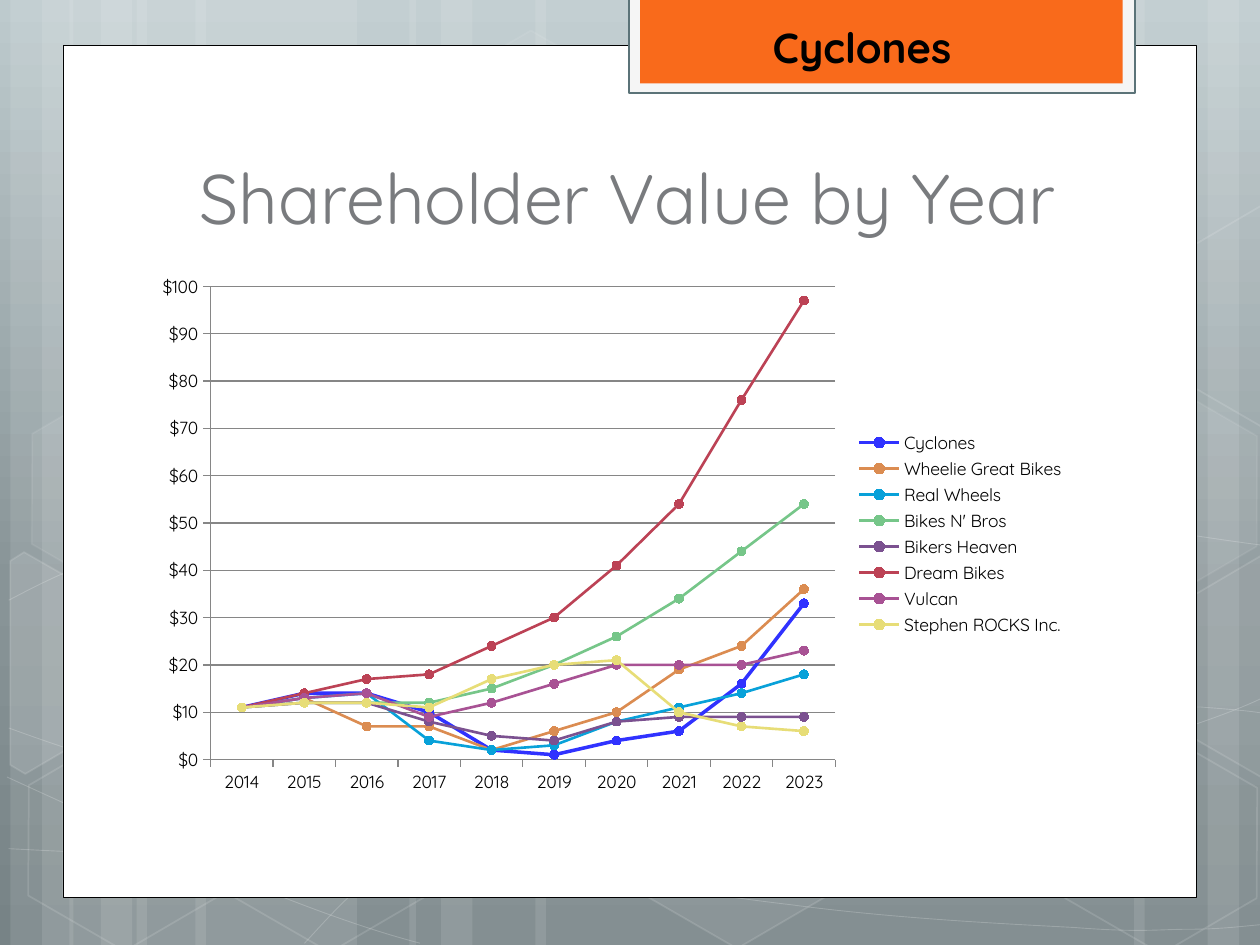
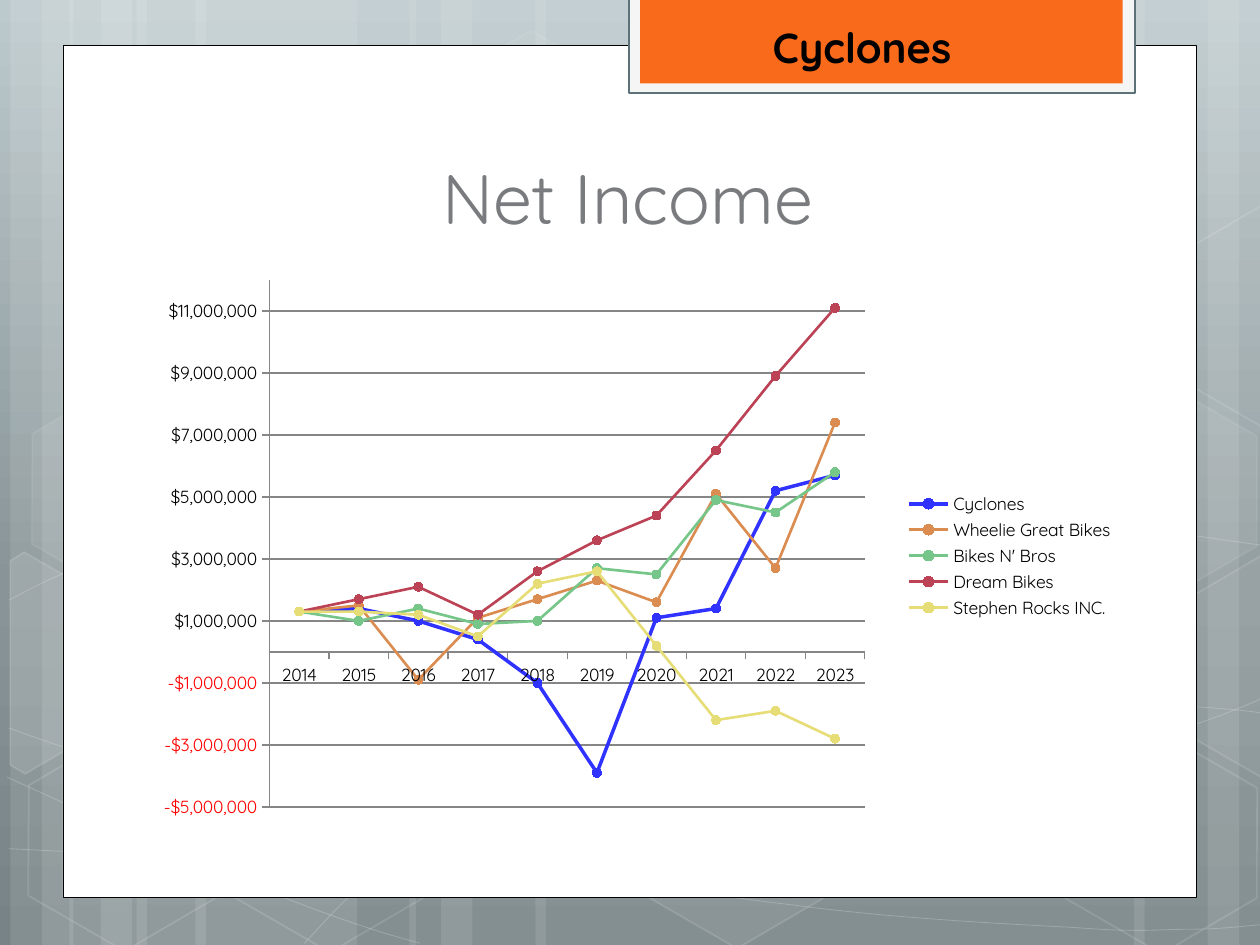
import copy
import dataclasses
import math
import typing

import lxml.etree
import pptx
import pptx.chart.chart
import pptx.chart.data
import pptx.dml.color
import pptx.enum.chart
import pptx.enum.shapes
import pptx.enum.text
import pptx.oxml.ns
import pptx.shapes.autoshape
import pptx.slide
import pptx.util

Pt = pptx.util.Pt
RGB = pptx.dml.color.RGBColor
qn = pptx.oxml.ns.qn
MSO = pptx.enum.shapes.MSO_SHAPE
XL = pptx.enum.chart

FONT = "Quicksand"
BLACK = RGB(0x00, 0x00, 0x00)
WHITE = RGB(0xFF, 0xFF, 0xFF)
FRAME = RGB(0xF5, 0xF5, 0xF5)
SLATE = RGB(0x5B, 0x73, 0x78)
ORANGE = RGB(0xF9, 0x6A, 0x1B)
TITLE_GRAY = RGB(0x79, 0x7B, 0x7E)
GRID_GRAY = RGB(0x86, 0x86, 0x86)
BLUE = RGB(0x30, 0x32, 0xFF)
COPPER = RGB(0xDB, 0x8C, 0x51)
CYAN = RGB(0x08, 0xA1, 0xD9)
GREEN = RGB(0x76, 0xC6, 0x89)
PURPLE = RGB(0x7B, 0x51, 0x90)
RED = RGB(0xBC, 0x42, 0x55)
MAGENTA = RGB(0xA8, 0x52, 0x94)
YELLOW = RGB(0xE7, 0xDD, 0x77)
BACKDROP = [(0, RGB(0xBD, 0xCA, 0xCD)), (0.62, RGB(0x88, 0x94, 0x97)), (1, RGB(0x77, 0x83, 0x86))]

SLIDE_W, SLIDE_H = 720, 540
TILT = 30
YEARS = [str(year) for year in range(2014, 2024)]
MONEY = '"$"#,##0;[Red]\\-"$"#,##0'
Point = tuple[float, float]
Rect = tuple[float, float, float, float]


@dataclasses.dataclass
class Paint:
    fill: typing.Optional[RGB] = None
    fill_alpha: int = 100
    line: typing.Optional[RGB] = None
    width: float = 1
    line_alpha: int = 100


@dataclasses.dataclass
class Box:
    x: float
    y: float
    w: float
    h: float
    paint: Paint
    kind: MSO = MSO.RECTANGLE
    rotation: float = 0


@dataclasses.dataclass
class CutHexagon:
    center: Point
    points: list[Point]
    paint: Paint


class Series(typing.NamedTuple):
    name: str
    color: RGB
    values: list[int]
    width: float = 1.5


@dataclasses.dataclass
class ChartSlide:
    title: str
    frame: Rect
    plot: Rect
    axis: dict[str, float]
    series: list[Series]
    unit: int = 1


def glass(fill_alpha: int, line_alpha: int) -> Paint:
    return Paint(WHITE if fill_alpha else None, fill_alpha, WHITE, 1, line_alpha)


def hexagon(x: float, y: float, fill_alpha: int, line_alpha: int) -> Box:
    return Box(x, y, 126, 109.5, glass(fill_alpha, line_alpha), MSO.HEXAGON, TILT)


BAND = Paint(WHITE, 10)
BANDS = [Box(x, 0, w, SLIDE_H, BAND, rotation=rotation) for x, w, rotation in [
    (78, 126, 0), (6, 36, 0), (24, 60, 0), (111.6, 126, 0), (39.6, 36, 0), (57.6, 60, 0),
    (528, 126, 180), (690, 36, 180), (648, 60, 180), (306, 222, 0), (234, 36, 0), (252, 60, 0)]]

CURVE_PAINT = Paint(line=WHITE, width=0.5, line_alpha=20)
CURVES: list[list[Point]] = [
    [(5, 485), (44, 487), (83, 489), (137, 488), (191, 487), (258, 486), (330, 479),
     (402, 472), (504, 458), (570, 444), (636, 431), (703, 409), (725, 397)],
    [(5, 343), (26, 332), (47, 321), (87, 310), (130, 300), (186, 284), (250, 279),
     (314, 274), (392, 273), (471, 279), (550, 284), (682, 307), (725, 312)],
    [(4, 444), (91, 484), (178, 523), (240, 539)],
    [(5, 416), (27, 424), (50, 432), (92, 444), (134, 454), (197, 472), (257, 485),
     (317, 497), (392, 510), (452, 517), (512, 525), (576, 528), (614, 530),
     (652, 533), (662, 531), (680, 531), (699, 531), (712, 529), (725, 528)],
    [(174, 539), (187, 525), (200, 510), (217, 498), (235, 485), (259, 470), (279, 460),
     (300, 450), (312, 446), (338, 438), (364, 431), (413, 421), (438, 416),
     (464, 411), (467, 411), (490, 410), (512, 408), (547, 405), (572, 405),
     (597, 404), (638, 404), (638, 404), (638, 404), (686, 404), (686, 404),
     (699, 405), (711, 406), (718, 407), (724, 408), (722, 407), (724, 408)],
]

HEXAGONS = [
    hexagon(240.5, 26, 4, 8), hexagon(358, 424, 6, 12), hexagon(8, 425.5, 0, 12),
    hexagon(10, 224.6, 7, 8), hexagon(125.3, 426.2, 0, 12), hexagon(542.2, 326.2, 10, 12),
    hexagon(600.5, 427, 0, 12), hexagon(600.5, 226, 7, 8),
]

CUT_HEXAGONS = [
    CutHexagon((26, 385.2), [(5.8, 320.4), (13.7, 315.4), (69.1, 347), (68.4, 410.4),
                             (14.4, 442.1), (5.8, 437)], glass(10, 12)),
    CutHexagon((709.2, 374.4), [(666.7, 349.2), (720.7, 317.5), (726.5, 321.1), (726.5, 441.4),
                                (721.4, 444.2), (666.7, 412.6)], glass(4, 12)),
    CutHexagon((709.2, 173.5), [(666.7, 149), (720.7, 117.4), (727.2, 121), (726.5, 241.2),
                                (721.4, 244.1), (666.7, 212.4)], glass(0, 12)),
]

PANELS = [
    Box(36, 25.9, 648, 487, Paint(WHITE, line=BLACK, width=0.5)),
    Box(359.3, -1.4, 289.4, 54.7, Paint(FRAME, line=SLATE, width=1.25)),
    Box(365.8, -1.4, 275.8, 49, Paint(ORANGE)),
]

CHART_SLIDES = [
    ChartSlide(
        "Shareholder Value by Year", (82.1, 151.2, 533.5, 307.5), (38.2, 12.5, 357, 270.4),
        {"minimum_scale": 0, "maximum_scale": 100, "major_unit": 10},
        [
            Series("Cyclones", BLUE, [11, 14, 14, 10, 2, 1, 4, 6, 16, 33], 2),
            Series("Wheelie Great Bikes", COPPER, [11, 13, 7, 7, 2, 6, 10, 19, 24, 36]),
            Series("Real Wheels", CYAN, [11, 13, 14, 4, 2, 3, 8, 11, 14, 18]),
            Series("Bikes N' Bros", GREEN, [11, 12, 12, 12, 15, 20, 26, 34, 44, 54]),
            Series("Bikers Heaven", PURPLE, [11, 12, 12, 8, 5, 4, 8, 9, 9, 9]),
            Series("Dream Bikes", RED, [11, 14, 17, 18, 24, 30, 41, 54, 76, 97]),
            Series("Vulcan", MAGENTA, [11, 13, 14, 9, 12, 16, 20, 20, 20, 23]),
            Series("Stephen ROCKS Inc.", YELLOW, [11, 12, 12, 11, 17, 20, 21, 10, 7, 6]),
        ]),
    ChartSlide(
        "Net Income", (82.1, 154.1, 561.6, 327), (71.9, 5.9, 340.3, 301.2),
        {"minimum_scale": -5_000_000, "maximum_scale": 12_000_000, "major_unit": 2_000_000},
        [
            Series("Cyclones", BLUE, [13, 14, 10, 4, -10, -39, 11, 14, 52, 57], 2),
            Series("Wheelie Great Bikes", COPPER, [13, 15, -9, 11, 17, 23, 16, 51, 27, 74]),
            Series("Bikes N' Bros", GREEN, [13, 10, 14, 9, 10, 27, 25, 49, 45, 58]),
            Series("Dream Bikes", RED, [13, 17, 21, 12, 26, 36, 44, 65, 89, 111]),
            Series("Stephen Rocks INC.", YELLOW, [13, 13, 12, 5, 22, 26, 2, -22, -19, -28]),
        ], 100_000),
]


def assign(obj: typing.Any, values: dict[str, typing.Any]) -> None:
    for name, value in values.items():
        setattr(obj, name, value)


def fade(sp: pptx.shapes.autoshape.Shape, part: str, alpha: int) -> None:
    if alpha < 100:
        for clr in sp._element.spPr.find(qn(part)).iter(qn("a:srgbClr")):
            lxml.etree.SubElement(clr, qn("a:alpha")).set("val", str(alpha * 1000))


def paint_shape(sp: pptx.shapes.autoshape.Shape, paint: Paint) -> None:
    sp.shadow.inherit = False
    if paint.fill is None:
        sp.fill.background()
    else:
        sp.fill.solid()
        sp.fill.fore_color.rgb = paint.fill
        fade(sp, "a:solidFill", paint.fill_alpha)
    if paint.line is None:
        sp.line.fill.background()
    else:
        sp.line.color.rgb = paint.line
        sp.line.width = Pt(paint.width)
        fade(sp, "a:ln", paint.line_alpha)


def draw_box(slide: pptx.slide.Slide, box: Box) -> pptx.shapes.autoshape.Shape:
    sp = slide.shapes.add_shape(box.kind, Pt(box.x), Pt(box.y), Pt(box.w), Pt(box.h))
    sp.rotation = box.rotation
    if box.kind == MSO.HEXAGON:
        sp.adjustments[0] = 0.285
    paint_shape(sp, box.paint)
    return sp


def draw_outline(slide: pptx.slide.Slide, points: list[Point], paint: Paint,
                 closed: bool) -> pptx.shapes.autoshape.Shape:
    corners = [(Pt(x), Pt(y)) for x, y in points]
    builder = slide.shapes.build_freeform(*corners[0])
    builder.add_line_segments(corners[1:], close=closed)
    sp = builder.convert_to_shape()
    paint_shape(sp, paint)
    return sp


def draw_curve(slide: pptx.slide.Slide, knots: list[Point]) -> pptx.shapes.autoshape.Shape:
    sp = draw_outline(slide, knots, CURVE_PAINT, False)
    segments = list(sp._element.iter(qn("a:lnTo")))
    for first, second, third in zip(*(segments[i::3] for i in range(3))):
        bezier = lxml.etree.Element(qn("a:cubicBezTo"))
        first.addprevious(bezier)
        for segment in (first, second, third):
            bezier.append(segment[0])
            segment.getparent().remove(segment)
    return sp


def draw_cut_hexagon(slide: pptx.slide.Slide, cut: CutHexagon) -> pptx.shapes.autoshape.Shape:
    cos, sin = math.cos(math.radians(TILT)), math.sin(math.radians(TILT))
    cx, cy = cut.center
    upright = [(cx + (x - cx) * cos + (y - cy) * sin, cy - (x - cx) * sin + (y - cy) * cos)
               for x, y in cut.points]
    sp = draw_outline(slide, upright, cut.paint, True)
    sp.rotation = TILT
    return sp


def set_backdrop(layout: pptx.slide.SlideLayout) -> None:
    fill = layout.background.fill
    fill.gradient()
    fill.gradient_angle = 270
    first = next(layout._element.iter(qn("a:gs")))
    first.addnext(copy.deepcopy(first))
    for stop, (position, color) in zip(fill.gradient_stops, BACKDROP):
        stop.color.rgb = color
        stop.position = position


def decorate_layout(layout: pptx.slide.SlideLayout, slide: pptx.slide.Slide) -> None:
    set_backdrop(layout)
    shapes = [draw_box(slide, box) for box in BANDS]
    shapes += [draw_curve(slide, knots) for knots in CURVES]
    shapes += [draw_box(slide, box) for box in HEXAGONS]
    shapes += [draw_cut_hexagon(slide, cut) for cut in CUT_HEXAGONS]
    shapes += [draw_box(slide, box) for box in PANELS]
    for i, sp in enumerate(shapes):
        sp._element.nvSpPr.cNvPr.id = 100 + i
        layout.shapes._spTree.insert(2 + i, sp._element)


def write(tf: typing.Any, text: str, size: float, color: RGB, bold: bool = False) -> None:
    r = tf.paragraphs[0].add_run()
    r.text = text
    assign(r.font, {"name": FONT, "size": Pt(size), "bold": bold})
    r.font.color.rgb = color


def add_title(slide: pptx.slide.Slide, text: str) -> None:
    sp = slide.shapes.title
    assign(sp, {"left": Pt(82.1), "top": Pt(81), "width": Pt(553), "height": Pt(59)})
    tf = sp.text_frame
    assign(tf, {"auto_size": pptx.enum.text.MSO_AUTO_SIZE.NONE, "word_wrap": True,
                "vertical_anchor": pptx.enum.text.MSO_ANCHOR.BOTTOM})
    tf.paragraphs[0].alignment = pptx.enum.text.PP_ALIGN.CENTER
    write(tf, text, 40, TITLE_GRAY)


def add_company(slide: pptx.slide.Slide) -> None:
    tf = slide.shapes.add_textbox(Pt(434.4), Pt(8.6), Pt(126.7), Pt(36)).text_frame
    assign(tf, {"word_wrap": True, "auto_size": pptx.enum.text.MSO_AUTO_SIZE.SHAPE_TO_FIT_TEXT})
    write(tf, "Cyclones", 24, BLACK, True)


def set_plot_area(chart: pptx.chart.chart.Chart, page: ChartSlide) -> None:
    area = chart._chartSpace.chart.plotArea
    for old in area.findall(qn("c:layout")):
        area.remove(old)
    layout = lxml.etree.Element(qn("c:layout"))
    area.insert(0, layout)
    manual = lxml.etree.SubElement(layout, qn("c:manualLayout"))
    shares = [round(part / whole, 4) for part, whole in zip(page.plot, page.frame[2:] * 2)]
    values = {"layoutTarget": "inner", "xMode": "edge", "yMode": "edge", **dict(zip("xywh", shares))}
    for name, value in values.items():
        lxml.etree.SubElement(manual, qn(f"c:{name}")).set("val", str(value))


def rule_line(fmt: typing.Any) -> None:
    fmt.line.color.rgb = GRID_GRAY
    fmt.line.width = Pt(0.75)


def add_line_chart(slide: pptx.slide.Slide, page: ChartSlide) -> None:
    data = pptx.chart.data.CategoryChartData(number_format=MONEY)
    data.categories = YEARS
    for item in page.series:
        data.add_series(item.name, [value * page.unit for value in item.values])
    chart = slide.shapes.add_chart(XL.XL_CHART_TYPE.LINE_MARKERS, *map(Pt, page.frame), data).chart
    assign(chart, {"has_title": False, "has_legend": True})
    assign(chart.font, {"name": FONT, "size": Pt(10)})
    chart.font.color.rgb = BLACK
    assign(chart.legend, {"position": XL.XL_LEGEND_POSITION.RIGHT, "include_in_layout": False})
    for axis in (chart.category_axis, chart.value_axis):
        axis.major_tick_mark = XL.XL_TICK_MARK.OUTSIDE
        rule_line(axis.format)
    assign(chart.value_axis, {**page.axis, "has_major_gridlines": True})
    rule_line(chart.value_axis.major_gridlines.format)
    assign(chart.value_axis.tick_labels, {"number_format": MONEY, "number_format_is_linked": False})
    chart.plots[0].vary_by_categories = False
    for series, item in zip(chart.plots[0].series, page.series):
        series.smooth = False
        assign(series.marker, {"style": XL.XL_MARKER_STYLE.CIRCLE, "size": 5})
        series.marker.format.fill.solid()
        series.marker.format.fill.fore_color.rgb = item.color
        for line in (series.format.line, series.marker.format.line):
            line.color.rgb = item.color
        series.format.line.width = Pt(item.width)
    set_plot_area(chart, page)


def main() -> None:
    prs = pptx.Presentation()
    assign(prs, {"slide_width": Pt(SLIDE_W), "slide_height": Pt(SLIDE_H)})
    layout = prs.slide_layouts.get_by_name("Title Only")
    slides = [prs.slides.add_slide(layout) for _ in CHART_SLIDES]
    decorate_layout(layout, slides[0])
    for slide, page in zip(slides, CHART_SLIDES):
        add_title(slide, page.title)
        add_line_chart(slide, page)
        add_company(slide)
    prs.save("out.pptx")


if __name__ == "__main__":
    main()
